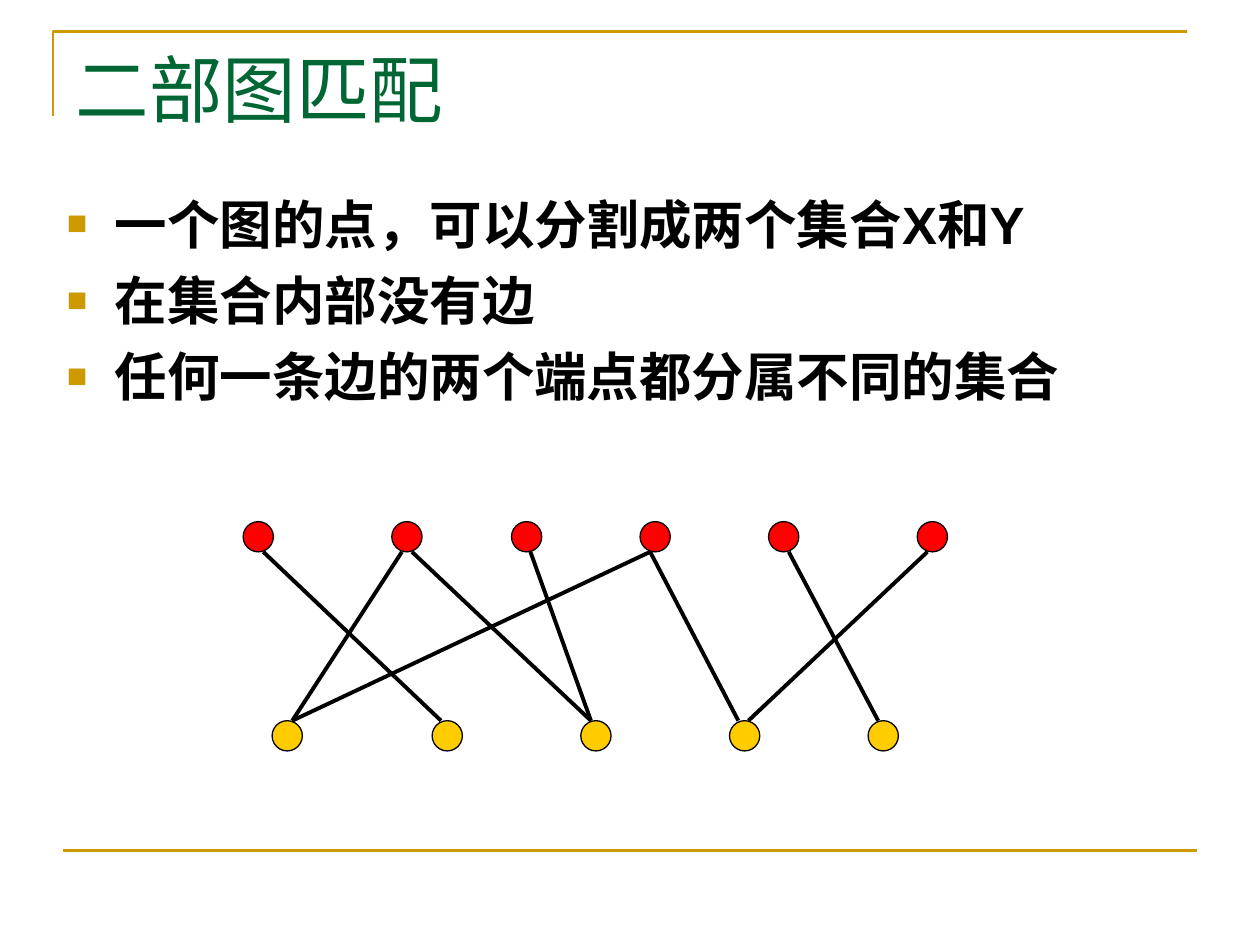
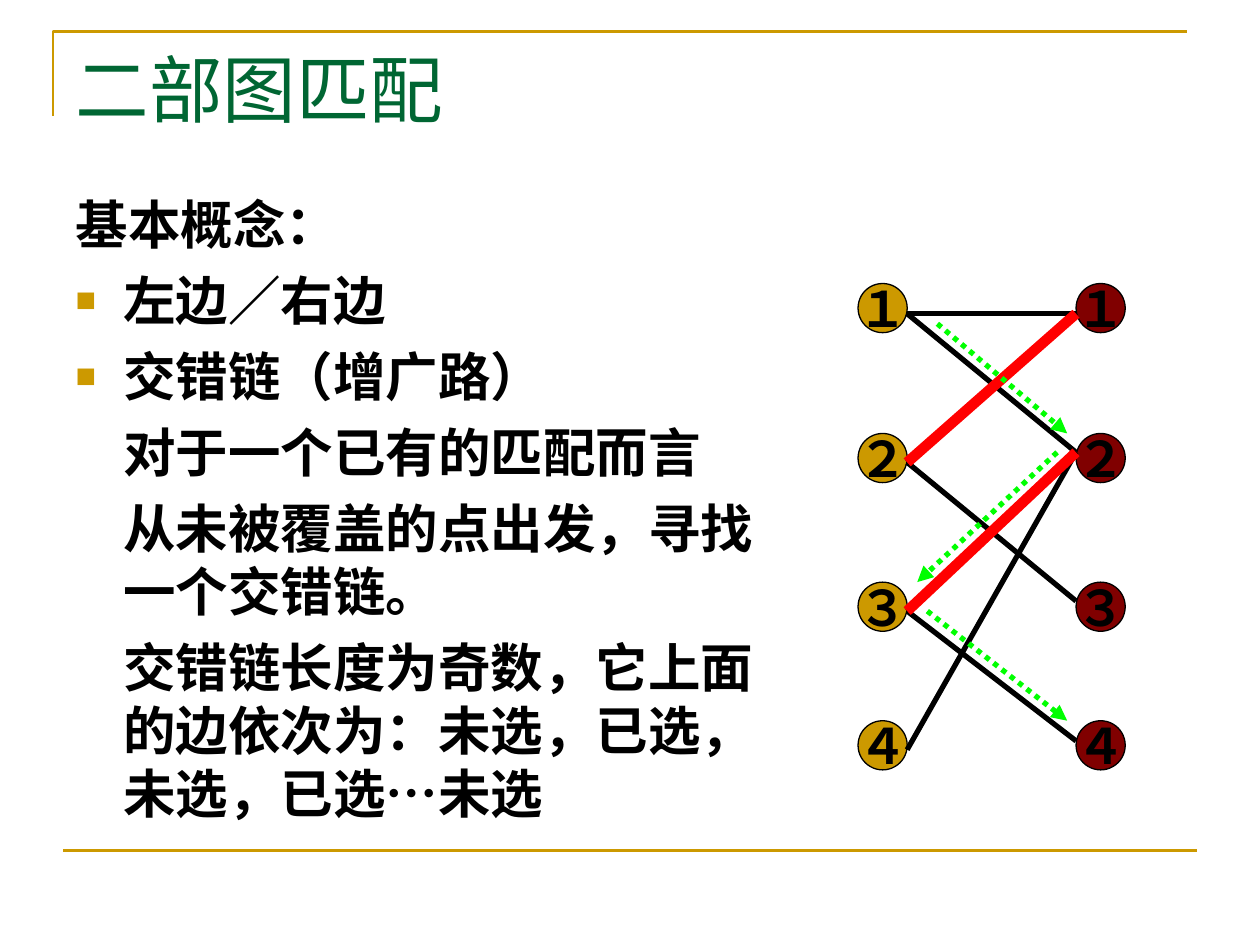
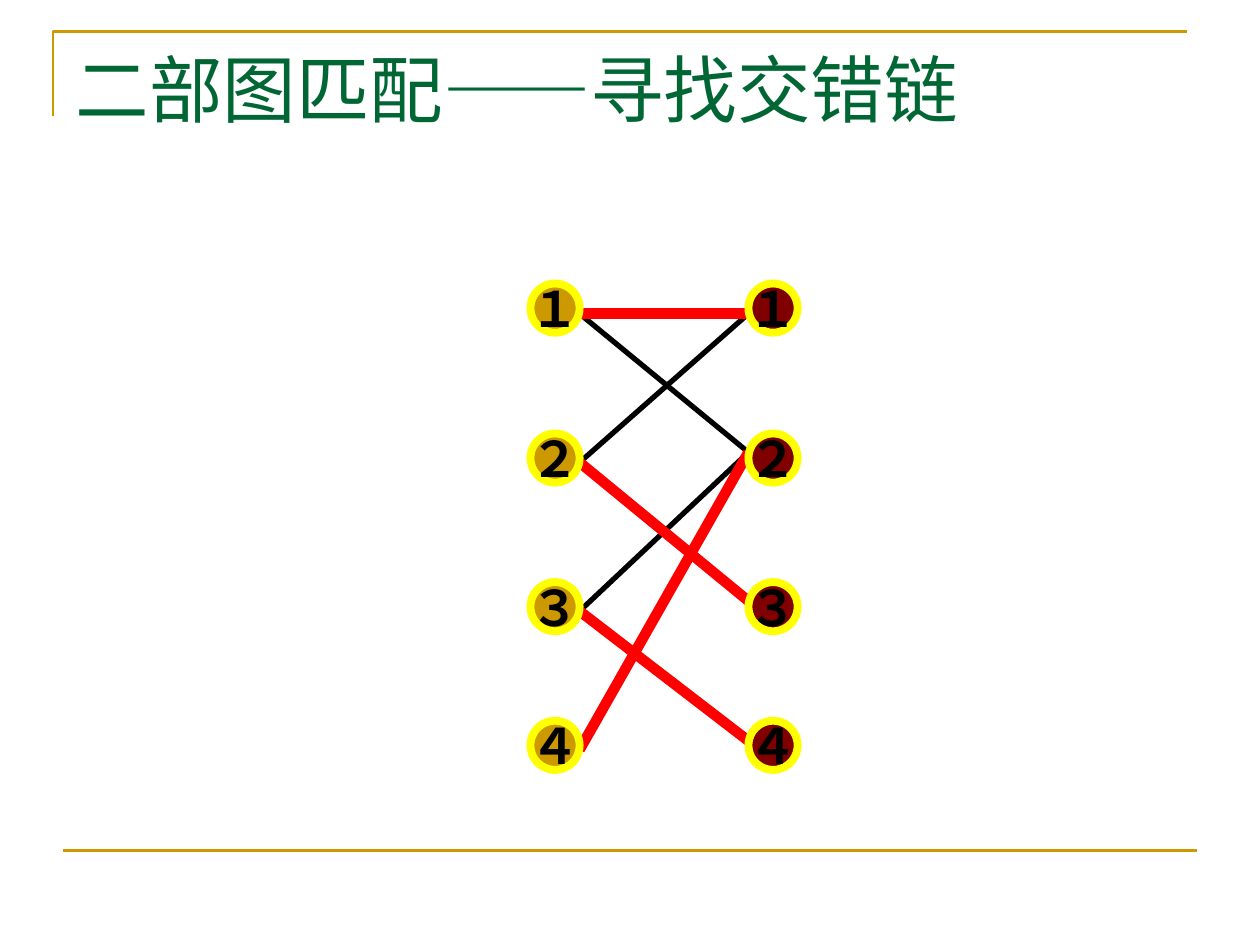
from pptx import Presentation
from pptx.dml.color import RGBColor
from pptx.enum import dml, lang, shapes, text
from pptx.oxml import ns, xmlchemy
from pptx.util import Inches, Pt

GOLD, GREEN, MAROON = "CC9900", "006633", "800000"
BLACK, RED, AMBER, YELLOW, LIME = "000000", "FF0000", "FFCC00", "FFFF00", "00FF00"
TITLE_FONT, BODY_FONT, FIRST_NODE_FONT = "Times New Roman", "Arial", "Lato"
INDENT = 0.38

X_LEFTS = [1.93, 3.11, 4.06, 5.08, 6.1, 7.28]
Y_LEFTS = [2.16, 3.43, 4.61, 5.79, 6.89]
X_TOP, Y_TOP, DOT_SIZE = 4.14, 5.72, 0.24
X_TO_Y_EDGES = [(2.09, 3.5), (3.27, 4.69), (5.16, 2.32), (5.16, 5.86),
                (6.26, 6.97), (7.36, 5.94), (4.21, 4.69), (3.19, 2.32)]

NODE_SIZE, COLUMN_GAP = 0.39, 1.73
LABELS = "１２３４"
NODE_TOPS = [2.25, 3.44, 4.62, 5.72]
LEFT_PORTS = [2.49, 3.67, 4.85, 5.95]
RIGHT_PORTS = [2.49, 3.59, 4.77, 5.88]
ALL_EDGES = [(1, 2), (2, 3), (2, 1), (3, 4), (1, 1), (3, 2), (4, 2)]
FIRST_MATCHING = [(3, 2), (2, 1)]
FULL_MATCHING = [(1, 1), (2, 3), (4, 2), (3, 4)]
AUGMENTING_PATH = [((7.44, 2.57), (8.47, 3.44)), ((8.39, 3.59), (7.28, 4.62)),
                   ((7.36, 4.85), (8.47, 5.72))]


def color(value):
    """Turn a hex string into a colour."""
    return RGBColor.from_string(value)


def add_child(parent, tag, **attributes):
    """Append a drawing element to a parent element."""
    child = xmlchemy.OxmlElement(tag)
    for name, value in attributes.items():
        child.set(name, value)
    parent.append(child)
    return child


def set_line(shape, line_color, width):
    """Give a shape's line its colour and width."""
    shape.line.color.rgb = color(line_color)
    shape.line.width = Pt(width)


def add_run(paragraph, words, size, font_name, font_color, bold=False):
    """Add one formatted run of text."""
    run = paragraph.add_run()
    run.text = words
    run.font.size = Pt(size)
    run.font.name = font_name
    run.font.bold = bold
    run.font.color.rgb = color(font_color)
    run.font.language_id = lang.MSO_LANGUAGE_ID.SIMPLIFIED_CHINESE


def add_edge(slide, start, end, line_color, width, arrow=False):
    """Draw a straight edge, dotted with an arrowhead if asked."""
    points = [Inches(value) for value in (*start, *end)]
    edge = slide.shapes.add_connector(shapes.MSO_CONNECTOR.STRAIGHT, *points)
    set_line(edge, line_color, width)
    properties = edge.element.spPr
    if arrow:
        edge.line.dash_style = dml.MSO_LINE.ROUND_DOT
        add_child(properties.find(ns.qn("a:ln")), "a:tailEnd", type="triangle")
    add_child(properties, "a:effectLst")
    return edge


def add_node(slide, left, top, size, fill, outline=BLACK, width=0.75, label="", font_name=BODY_FONT):
    """Draw a round graph node with an optional label."""
    node = slide.shapes.add_shape(shapes.MSO_SHAPE.OVAL, Inches(left), Inches(top),
                                  Inches(size), Inches(size))
    node.shadow.inherit = False
    node.fill.solid()
    node.fill.fore_color.rgb = color(fill)
    set_line(node, outline, width)
    if label:
        frame = node.text_frame
        frame.word_wrap = False
        frame.vertical_anchor = text.MSO_ANCHOR.MIDDLE
        paragraph = frame.paragraphs[0]
        paragraph.alignment = text.PP_ALIGN.CENTER
        add_run(paragraph, label, 28, font_name, BLACK, True)


def add_master_frame(presentation, slide):
    """Draw the corner and bottom rules and move them to the master."""
    left, top, right, bottom = [Inches(value) for value in (0.42, 0.25, 9.42, 0.92)]
    builder = slide.shapes.build_freeform(left, bottom)
    builder.add_line_segments([(left, top), (right, top)], close=False)
    corner = builder.convert_to_shape()
    corner.shadow.inherit = False
    corner.fill.background()
    set_line(corner, GOLD, 1.5)
    bottom_rule = add_edge(slide, (0.5, 6.75), (9.5, 6.75), GOLD, 1.5)
    for shape in (corner, bottom_rule):
        presentation.slide_master.shapes.element.append(shape.element)


def place_text(shape, left, top, width, height):
    """Position a placeholder and anchor its text at the top."""
    shape.left, shape.top = Inches(left), Inches(top)
    shape.width, shape.height = Inches(width), Inches(height)
    frame = shape.text_frame
    frame.word_wrap = True
    frame.auto_size = text.MSO_AUTO_SIZE.NONE
    frame.vertical_anchor = text.MSO_ANCHOR.TOP
    return frame


def add_titled_slide(presentation, layout_index, title, title_height=1.25):
    """Add a slide with the shared title style."""
    slide = presentation.slides.add_slide(presentation.slide_layouts[layout_index])
    frame = place_text(slide.shapes.title, 0.5, 0.3, 9, title_height)
    paragraph = frame.paragraphs[0]
    paragraph.alignment = text.PP_ALIGN.LEFT
    add_run(paragraph, title, 42, TITLE_FONT, GREEN)
    return slide


def format_item(paragraph, kind):
    """Set an item's spacing, indent and bullet."""
    paragraph.alignment = text.PP_ALIGN.LEFT
    paragraph.space_before = Pt(7.5)
    properties = paragraph._p.get_or_add_pPr()
    properties.set("marL", str(0 if kind == "heading" else Inches(INDENT)))
    properties.set("indent", str(-Inches(INDENT) if kind == "bullet" else 0))
    if kind == "bullet":
        add_child(add_child(properties, "a:buClr"), "a:srgbClr", val=GOLD)
        add_child(properties, "a:buSzPct", val="65000")
        add_child(properties, "a:buFont", typeface=BODY_FONT)
        add_child(properties, "a:buChar", char="■")
    else:
        add_child(properties, "a:buNone")


def fill_body(slide, box, items):
    """Fill the body placeholder with (kind, words) items."""
    frame = place_text(slide.placeholders[1], *box)
    for index, (kind, words) in enumerate(items):
        paragraph = frame.add_paragraph() if index else frame.paragraphs[0]
        format_item(paragraph, kind)
        add_run(paragraph, words, 30, BODY_FONT, BLACK, True)


def add_columns(slide, left, outline=BLACK, width=0.75):
    """Draw the two numbered columns of nodes."""
    for column, fill in enumerate((GOLD, MAROON)):
        for row, (label, top) in enumerate(zip(LABELS, NODE_TOPS)):
            font_name = FIRST_NODE_FONT if row == column == 0 else BODY_FONT
            add_node(slide, left + column * COLUMN_GAP, top, NODE_SIZE, fill,
                     outline, width, label, font_name)


def add_column_edges(slide, left, edges, line_color, width):
    """Join numbered left nodes to numbered right nodes."""
    for start, end in edges:
        add_edge(slide, (left + NODE_SIZE, LEFT_PORTS[start - 1]),
                 (left + COLUMN_GAP, RIGHT_PORTS[end - 1]), line_color, width)


def build_definition(presentation):
    """Build the slide that defines a bipartite graph."""
    slide = add_titled_slide(presentation, 1, "二部图匹配", 1.01)
    add_master_frame(presentation, slide)
    fill_body(slide, (0.43, 1.47, 9, 2.28), [
        ("bullet", "一个图的点，可以分割成两个集合X和Y"),
        ("bullet", "在集合内部没有边"),
        ("bullet", "任何一条边的两个端点都分属不同的集合"),
    ])
    for lefts, top, fill in ((X_LEFTS, X_TOP, RED), (Y_LEFTS, Y_TOP, AMBER)):
        for left in lefts:
            add_node(slide, left, top, DOT_SIZE, fill)
    for x_end, y_end in X_TO_Y_EDGES:
        add_edge(slide, (x_end, X_TOP + DOT_SIZE), (y_end, Y_TOP), BLACK, 2.25)


def build_concepts(presentation):
    """Build the slide that explains alternating paths."""
    slide = add_titled_slide(presentation, 1, "二部图匹配")
    fill_body(slide, (0.5, 1.47, 5.6, 5.24), [
        ("heading", "基本概念："),
        ("bullet", "左边／右边"),
        ("bullet", "交错链（增广路）"),
        ("detail", "对于一个已有的匹配而言"),
        ("detail", "从未被覆盖的点出发，寻找一个交错链。"),
        ("detail", "交错链长度为奇数，它上面的边依次为：未选，已选，未选，已选…未选"),
    ])
    left = 6.81
    add_columns(slide, left)
    add_column_edges(slide, left, ALL_EDGES, BLACK, 3)
    add_column_edges(slide, left, FIRST_MATCHING, RED, 6)
    for start, end in AUGMENTING_PATH:
        add_edge(slide, start, end, LIME, 3, arrow=True)


def build_search(presentation):
    """Build the slide that shows the full matching."""
    slide = add_titled_slide(presentation, 5, "二部图匹配——寻找交错链")
    left = 4.21
    add_column_edges(slide, left, ALL_EDGES, BLACK, 3)
    add_column_edges(slide, left, FULL_MATCHING, RED, 6)
    add_columns(slide, left, YELLOW, 4.5)


def main():
    """Build and save the presentation."""
    presentation = Presentation()
    presentation.slide_width, presentation.slide_height = Inches(10), Inches(7.5)
    build_definition(presentation)
    build_concepts(presentation)
    build_search(presentation)
    presentation.save("out.pptx")


if __name__ == "__main__":
    main()
